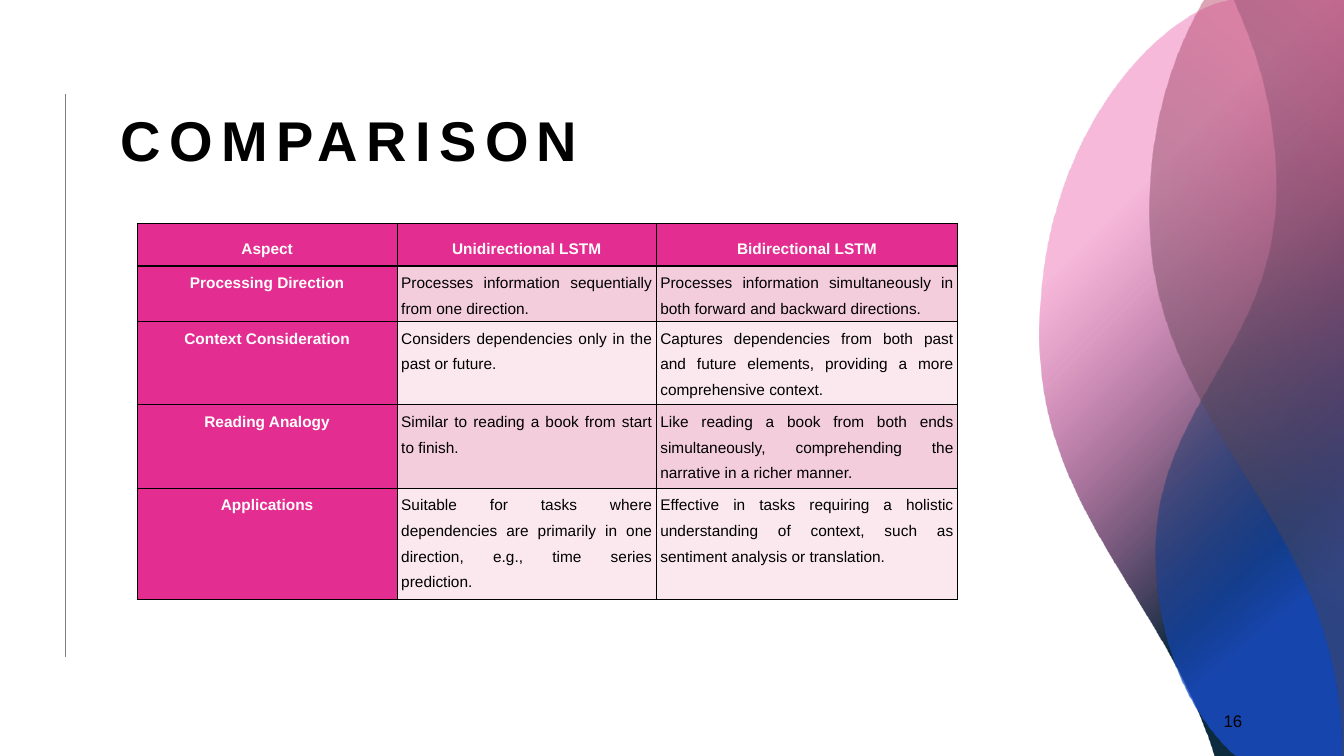
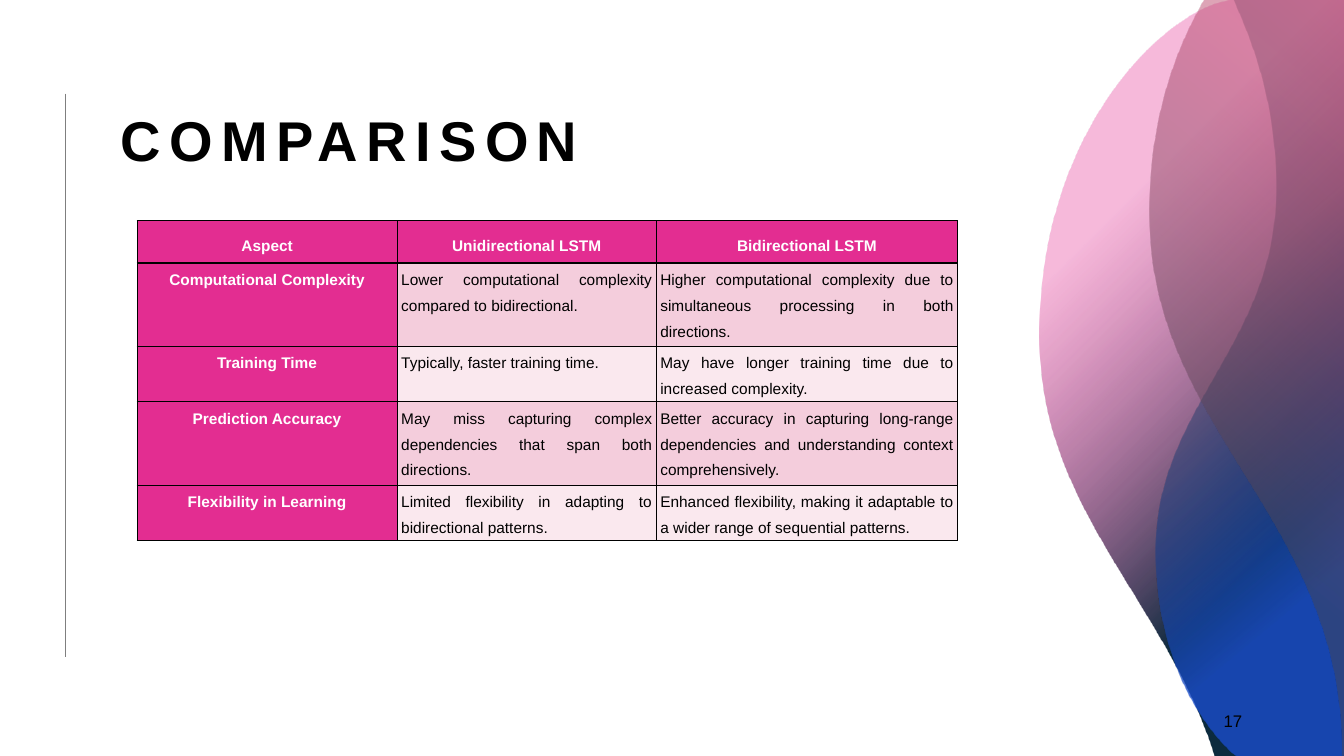
import copy
import lxml.etree
import pptx
import pptx.dml.color
import pptx.enum.shapes
import pptx.enum.text
import pptx.oxml
import pptx.oxml.ns
import pptx.util

Inches = pptx.util.Inches
Pt = pptx.util.Pt
ALIGN = pptx.enum.text.PP_ALIGN
ANCHOR = pptx.enum.text.MSO_ANCHOR
qn = pptx.oxml.ns.qn

FONT = "Arial"
COLORS = {
    "ink": "000000",
    "paper": "FFFFFF",
    "rule": "7F7F7F",
    "magenta": "E32D91",
    "rose": "F4CDDC",
    "blush": "FAE8EE",
    "navy": "0C2B3E",
    "blue": "1A4CC8",
    "slate": "454551",
    "coral": "D54773",
}

RULE_BOX = (0.65, 0.93, 0, 5.59)
RIBBON_BOX = (10.3, 0, 3.03, 7.5)
NUMBER_BOX = (9.42, 6.95, 3, 0.4)
TITLE_BOX = (1.1, 0.68, 9.71, 1.09)
COLUMN_WIDTHS = (2.58, 2.57, 2.99)

RADIAL = ('<a:path path="circle"><a:fillToRect l="100000" t="100000"/>'
          '</a:path>')
LINEAR = '<a:lin ang="{}" scaled="0"/>'

RIBBONS = [
    {
        "outline": [(1.9, 0), (3.03, 0), (3.03, 7.5), (1.74, 7.5),
                    (1.72, 7.43), (1.24, 5.95, 0.01, 5.03, 0.01, 3.34),
                    (0, 1.51, 1.02, 0.31, 1.75, 0.04)],
        "stops": [(26, "navy", 100), (73, "magenta", 33)],
        "direction": RADIAL,
    },
    {
        "outline": [(1.93, 0), (3.03, 0), (3.03, 7.5), (1.96, 7.5),
                    (1.94, 7.49), (1.55, 7.14, 1.16, 6.43, 1.16, 5.46),
                    (1.17, 4.04, 2.33, 3.43, 2.35, 1.92),
                    (2.36, 1.17, 2.18, 0.58, 1.98, 0.12)],
        "stops": [(37, "navy", 28), (79, "blue", 80)],
        "direction": LINEAR.format(50 * 60000),
    },
    {
        "outline": [(1.64, 0), (3.03, 0), (3.03, 7.5), (3, 7.5), (3, 7.37),
                    (2.96, 5.14, 1.11, 4.24, 1.1, 2.15),
                    (1.09, 1.36, 1.28, 0.69, 1.55, 0.17)],
        "stops": [(32, "slate", 48), (100, "coral", 49)],
        "direction": LINEAR.format(310 * 60000),
    },
]

HEADINGS = ("Aspect", "Unidirectional LSTM", "Bidirectional LSTM")
COMPARISONS = [
    {
        "number": "16",
        "top": 2.22,
        "heights": (0.42, 0.54, 0.73, 0.73, 0.73),
        "rows": [
            ("Processing Direction",
             "Processes information sequentially from one direction.",
             "Processes information simultaneously in both forward and "
             "backward directions."),
            ("Context Consideration",
             "Considers dependencies only in the past or future.",
             "Captures dependencies from both past and future elements, "
             "providing a more comprehensive context."),
            ("Reading Analogy",
             "Similar to reading a book from start to finish.",
             "Like reading a book from both ends simultaneously, "
             "comprehending the narrative in a richer manner."),
            ("Applications",
             "Suitable for tasks where dependencies are primarily in one "
             "direction, e.g., time series prediction.",
             "Effective in tasks requiring a holistic understanding of "
             "context, such as sentiment analysis or translation."),
        ],
    },
    {
        "number": "17",
        "top": 2.19,
        "heights": (0.42, 0.54, 0.37, 0.73, 0.54),
        "rows": [
            ("Computational Complexity",
             "Lower computational complexity compared to bidirectional.",
             "Higher computational complexity due to simultaneous processing "
             "in both directions."),
            ("Training Time",
             "Typically, faster training time.",
             "May have longer training time due to increased complexity."),
            ("Prediction Accuracy",
             "May miss capturing complex dependencies that span both "
             "directions.",
             "Better accuracy in capturing long-range dependencies and "
             "understanding context comprehensively."),
            ("Flexibility in Learning",
             "Limited flexibility in adapting to bidirectional patterns.",
             "Enhanced flexibility, making it adaptable to a wider range of "
             "sequential patterns."),
        ],
    },
]


def rgb(color):
    return pptx.dml.color.RGBColor.from_string(COLORS[color])


def write_text(frame, text, size=11, color="ink", bold=False,
               align=ALIGN.LEFT, line_spacing=1.0, tracking=0):
    paragraph = frame.paragraphs[0]
    paragraph.alignment = align
    paragraph.line_spacing = line_spacing
    run = paragraph.add_run()
    run.text = text
    run.font.name = FONT
    run.font.size = Pt(size)
    run.font.bold = bold
    run.font.color.rgb = rgb(color)
    properties = run.font._element
    for script in ("a:ea", "a:cs"):
        lxml.etree.SubElement(properties, qn(script)).set("typeface", FONT)
    if tracking:
        properties.set("spc", str(tracking * 100))
    ending = lxml.etree.SubElement(paragraph._p, qn("a:endParaRPr"),
                                   dict(properties.attrib))
    ending.extend(copy.deepcopy(child) for child in properties)


def add_label(slide, box, text, anchor, **text_format):
    frame = slide.shapes.add_textbox(*map(Inches, box)).text_frame
    frame.word_wrap = True
    frame.vertical_anchor = anchor
    write_text(frame, text, **text_format)


def add_rule(slide, box):
    left, top, width, height = box
    rule = slide.shapes.add_connector(
        pptx.enum.shapes.MSO_CONNECTOR.STRAIGHT, Inches(left), Inches(top),
        Inches(left + width), Inches(top + height))
    rule.line.color.rgb = rgb("rule")
    rule.line.width = Pt(0.5)
    lxml.etree.SubElement(rule._element.spPr, qn("a:effectLst"))


def bend_segments(shape, outline, left, top):
    segments = shape._element.spPr.findall(".//" + qn("a:lnTo"))
    for segment, step in zip(segments, outline[1:]):
        if len(step) == 2:
            continue
        curve = segment.makeelement(qn("a:cubicBezTo"))
        for x, y in zip(step[::2], step[1::2]):
            point = lxml.etree.SubElement(curve, qn("a:pt"))
            point.set("x", str(Inches(left + x) - shape.left))
            point.set("y", str(Inches(top + y) - shape.top))
        segment.getparent().replace(segment, curve)


def fill_gradient(shape, stops, direction):
    stop_xml = "".join(
        f'<a:gs pos="{position * 1000}"><a:srgbClr val="{COLORS[color]}">'
        f'<a:alpha val="{opacity * 1000}"/></a:srgbClr></a:gs>'
        for position, color, opacity in stops)
    gradient = pptx.oxml.parse_xml(
        f'<a:gradFill {pptx.oxml.ns.nsdecls("a")} rotWithShape="1">'
        f'<a:gsLst>{stop_xml}</a:gsLst>{direction}</a:gradFill>')
    shape.fill.background()
    properties = shape._element.spPr
    properties.replace(properties.find(qn("a:noFill")), gradient)


def add_ribbons(slide, box):
    left, top = box[:2]
    for ribbon in RIBBONS:
        outline = ribbon["outline"]
        corners = [(Inches(left + step[-2]), Inches(top + step[-1]))
                   for step in outline]
        builder = slide.shapes.build_freeform(*corners[0], scale=1.0)
        builder.add_line_segments(corners[1:], close=True)
        shape = builder.convert_to_shape()
        bend_segments(shape, outline, left, top)
        shape.shadow.inherit = False
        fill_gradient(shape, ribbon["stops"], ribbon["direction"])
        shape.line.fill.background()


def outline_cell(cell):
    properties = cell._tc.get_or_add_tcPr()
    for side in ("lnL", "lnR", "lnT", "lnB"):
        properties.append(pptx.oxml.parse_xml(
            f'<a:{side} {pptx.oxml.ns.nsdecls("a")} w="{Pt(1)}">'
            f'<a:solidFill><a:srgbClr val="{COLORS["ink"]}"/></a:solidFill>'
            f'</a:{side}>'))


def add_comparison_table(slide, box, rows, heights):
    table = slide.shapes.add_table(
        len(rows), len(COLUMN_WIDTHS), *map(Inches, box)).table
    for column, width in zip(table.columns, COLUMN_WIDTHS):
        column.width = Inches(width)
    for r, (texts, height) in enumerate(zip(rows, heights)):
        table.rows[r].height = Inches(height)
        for c, text in enumerate(texts):
            cell = table.cell(r, c)
            heading = r == 0 or c == 0
            cell.margin_left = cell.margin_right = Inches(0.04)
            cell.margin_top = cell.margin_bottom = 0
            if r == 0:
                cell.vertical_anchor = ANCHOR.MIDDLE
            outline_cell(cell)
            band = "rose" if r % 2 else "blush"
            cell.fill.solid()
            cell.fill.fore_color.rgb = rgb("magenta" if heading else band)
            write_text(cell.text_frame, text, bold=heading, line_spacing=1.5,
                       color="paper" if heading else "ink",
                       align=ALIGN.CENTER if heading else ALIGN.JUSTIFY)


def add_comparison_slide(deck, comparison):
    slide = deck.slides.add_slide(deck.slide_layouts[6])
    slide.background.fill.solid()
    slide.background.fill.fore_color.rgb = rgb("paper")
    add_rule(slide, RULE_BOX)
    add_ribbons(slide, RIBBON_BOX)
    add_label(slide, NUMBER_BOX, comparison["number"], ANCHOR.MIDDLE,
              size=12, align=ALIGN.RIGHT)
    add_label(slide, TITLE_BOX, "COMPARISON", ANCHOR.BOTTOM,
              size=40, bold=True, line_spacing=0.9, tracking=6)
    heights = comparison["heights"]
    table_box = (1.36, comparison["top"], sum(COLUMN_WIDTHS), sum(heights))
    add_comparison_table(slide, table_box, [HEADINGS, *comparison["rows"]],
                         heights)


def main():
    deck = pptx.Presentation()
    deck.slide_width = Inches(13.33)
    deck.slide_height = Inches(7.5)
    for comparison in COMPARISONS:
        add_comparison_slide(deck, comparison)
    deck.save("out.pptx")


if __name__ == "__main__":
    main()
